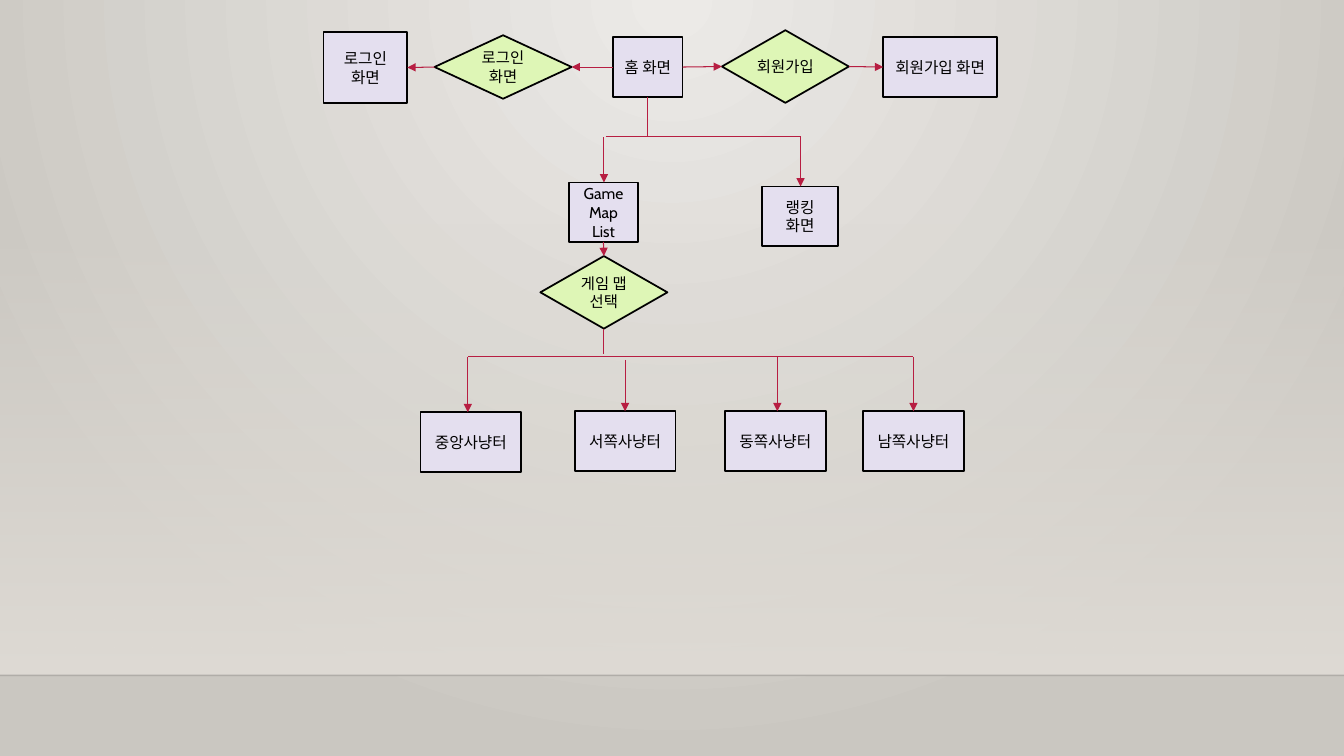
from lxml import etree
from pptx import Presentation
from pptx.dml.color import RGBColor
from pptx.enum.shapes import MSO_CONNECTOR, MSO_SHAPE
from pptx.enum.text import MSO_ANCHOR, PP_ALIGN
from pptx.oxml import parse_xml
from pptx.oxml.ns import nsdecls, qn
from pptx.util import Inches, Pt

BLACK = RGBColor(0x00, 0x00, 0x00)
LILAC = RGBColor(0xE4, 0xDF, 0xEF)
LIME = RGBColor(0xDE, 0xF6, 0xB6)
CRIMSON = RGBColor(0xB7, 0x1E, 0x42)
WALL_LIGHT = RGBColor(0xEC, 0xEA, 0xE7)
WALL_DARK = RGBColor(0xCA, 0xC7, 0xC1)
HAZE = RGBColor(0xDF, 0xDB, 0xD5)
FONT = "Cabin"
SLIDE_W, SLIDE_H, FLOOR_Y = 13.33, 7.5, 6.7

# Screens (rectangles): key -> text, left, top, width, height
SCREENS = {
    "login": ("로그인 화면", 3.21, 0.32, 0.83, 0.7),
    "home": ("홈 화면", 6.08, 0.37, 0.69, 0.59),
    "join": ("회원가입 화면", 8.76, 0.37, 1.13, 0.59),
    "maps": ("Game\vMap List", 5.64, 1.81, 0.69, 0.59),
    "ranking": ("랭킹 화면", 7.56, 1.85, 0.75, 0.59),
    "center": ("중앙사냥터", 4.17, 4.09, 1, 0.59),
    "west": ("서쪽사냥터", 5.7, 4.08, 1, 0.59),
    "east": ("동쪽사냥터", 7.19, 4.08, 1, 0.59),
    "south": ("남쪽사냥터", 8.56, 4.08, 1, 0.59),
}
# Actions (diamonds)
ACTIONS = {
    "log in": ("로그인 화면", 4.31, 0.35, 1.36, 0.63),
    "sign up": ("회원가입", 7.16, 0.3, 1.26, 0.72),
    "pick map": ("게임 맵 선택", 5.36, 2.54, 1.26, 0.72),
}
# Connection sites shared by rectangles and diamonds
TOP, LEFT, BOTTOM, RIGHT = range(4)
STEPS = [
    ("home", LEFT, "log in", RIGHT),
    ("log in", LEFT, "login", RIGHT),
    ("home", RIGHT, "sign up", LEFT),
    ("sign up", RIGHT, "join", LEFT),
    ("maps", BOTTOM, "pick map", TOP),
]
# Branches: parent, stem end, bar (left, right, y), drops (child, x, start y)
BRANCHES = [
    ("home", 1.35, (6.01, 7.94, 1.35),
     [("maps", 5.99, 1.36), ("ranking", 7.94, 1.36)]),
    ("pick map", 3.51, (4.64, 9.06, 3.54),
     [("center", 4.64, 3.54), ("west", 6.2, 3.57),
      ("east", 7.71, 3.54), ("south", 9.06, 3.54)]),
]

prs = Presentation()
prs.slide_width, prs.slide_height = Inches(SLIDE_W), Inches(SLIDE_H)
slide = prs.slides.add_slide(prs.slide_layouts[6])


def set_gradient(fill, start, end):
    fill.gradient()
    for stop, color, position in zip(fill.gradient_stops, (start, end), (0, 1)):
        stop.color.rgb = color
        stop.position = position


def set_alpha(color_element, percent):
    etree.SubElement(color_element, qn("a:alpha")).set("val", str(percent * 1000))


def add_line(x1, y1, x2, y2, color=CRIMSON, width=0.75, arrow=False):
    line = slide.shapes.add_connector(
        MSO_CONNECTOR.STRAIGHT, *(Inches(v) for v in (x1, y1, x2, y2)))
    line.line.color.rgb = color
    line.line.width = Pt(width)
    if arrow:
        etree.SubElement(line.line._get_or_add_ln(), qn("a:tailEnd")).set("type", "triangle")
    etree.SubElement(line._element.spPr, qn("a:effectLst"))
    return line


def add_node(preset, color, size, text, *box):
    node = slide.shapes.add_shape(preset, *(Inches(v) for v in box))
    node.shadow.inherit = False
    node.fill.solid()
    node.fill.fore_color.rgb = color
    node.line.color.rgb = BLACK
    node.line.width = Pt(1.25)
    frame = node.text_frame
    frame.text = text
    frame.word_wrap = True
    frame.vertical_anchor = MSO_ANCHOR.MIDDLE
    if preset == MSO_SHAPE.DIAMOND:
        frame.margin_left = frame.margin_right = 0
    paragraph = frame.paragraphs[0]
    paragraph.alignment = PP_ALIGN.CENTER
    for run in paragraph.runs:
        run.font.name = FONT
        run.font.size = Pt(size)
        run.font.color.rgb = BLACK
    return node


# Backdrop: radial wall glow
set_gradient(slide.background.fill, WALL_LIGHT, WALL_DARK)
wall = slide._element.find(".//" + qn("a:gradFill"))
wall.replace(wall.find(qn("a:lin")), parse_xml(
    f'<a:path {nsdecls("a")} path="circle">'
    '<a:fillToRect l="43000" t="0" r="43000" b="100000"/></a:path>'))

# Backdrop: haze that thickens down to the floor line
haze = slide.shapes.add_shape(
    MSO_SHAPE.RECTANGLE, 0, Inches(2.21), Inches(SLIDE_W), Inches(FLOOR_Y - 2.21))
haze.shadow.inherit = False
haze.line.fill.background()
set_gradient(haze.fill, HAZE, HAZE)
haze.fill.gradient_angle = 270
set_alpha(haze._element.spPr.find(".//" + qn("a:srgbClr")), 0)
floor = add_line(0, FLOOR_Y, SLIDE_W, FLOOR_Y, BLACK, 1)
set_alpha(floor._element.spPr.find(".//" + qn("a:srgbClr")), 20)

# Screens and actions
nodes = {key: add_node(MSO_SHAPE.RECTANGLE, LILAC, 11.2, *item)
         for key, item in SCREENS.items()}
nodes.update({key: add_node(MSO_SHAPE.DIAMOND, LIME, 11, *item)
              for key, item in ACTIONS.items()})

# Direct steps, attached to their nodes
for source, source_site, target, target_site in STEPS:
    step = add_line(0, 0, 1, 1, arrow=True)
    step.begin_connect(nodes[source], source_site)
    step.end_connect(nodes[target], target_site)

# Branches: stem, bar and drops
places = SCREENS | ACTIONS
for parent, stem_end, (bar_left, bar_right, bar_y), drops in BRANCHES:
    _, left, top, width, height = places[parent]
    stem_x = left + width / 2
    add_line(stem_x, top + height, stem_x, stem_end)
    add_line(bar_left, bar_y, bar_right, bar_y)
    for child, x, start_y in drops:
        add_line(x, start_y, x, places[child][2], arrow=True)

prs.save("out.pptx")
